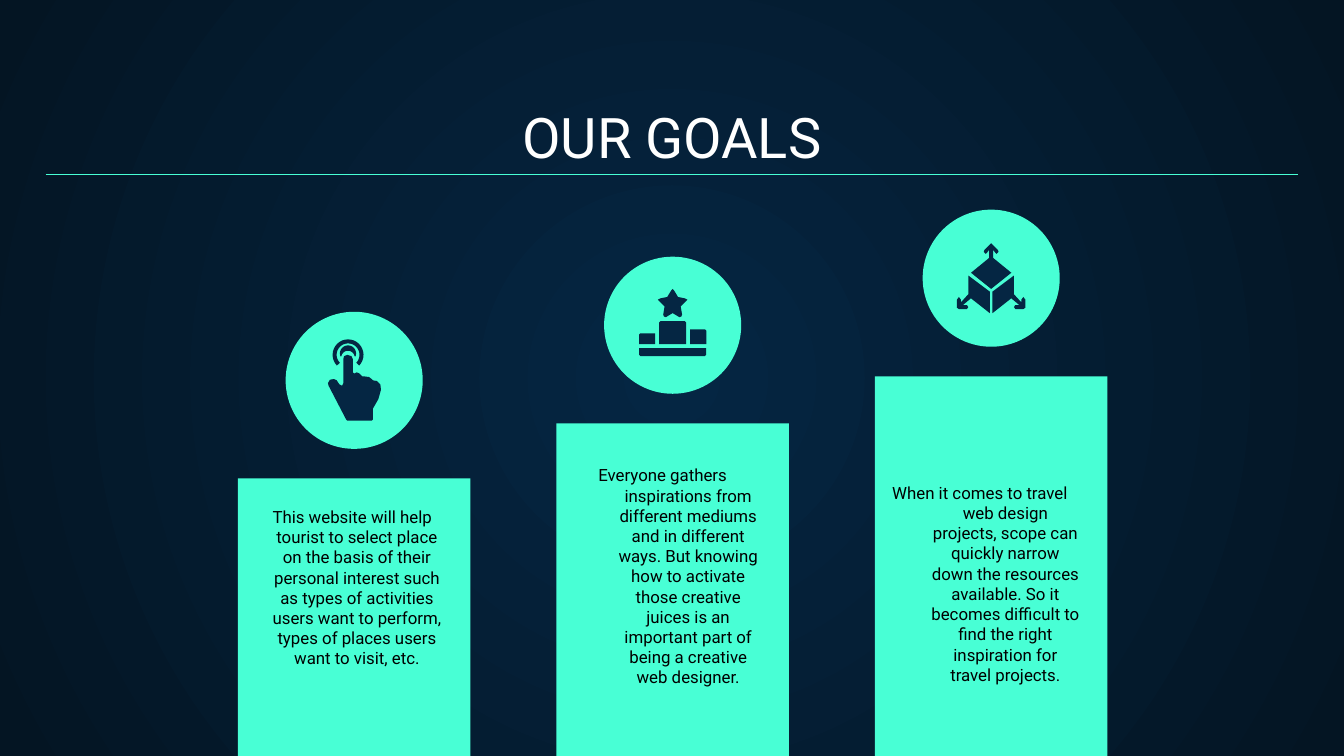
from math import cos, radians, sin

from lxml.etree import SubElement
from pptx import Presentation
from pptx.dml.color import RGBColor
from pptx.enum.shapes import MSO_CONNECTOR, MSO_SHAPE
from pptx.enum.text import MSO_ANCHOR, MSO_AUTO_SIZE, PP_ALIGN
from pptx.oxml import parse_xml
from pptx.oxml.ns import nsdecls, qn
from pptx.util import Inches, Pt

COLORS = {"mint": "48FFD5", "navy": "052643", "night": "041523",
          "white": "FFFFFF", "black": "000000"}
FONT = "Roboto"
BAR_WIDTH, BAR_BOTTOM = 1.73, 5.66
CIRCLE_SIZE, CIRCLE_RISE = 1.02, 1.24
UNITS_PER_INCH = 100


def arc(center_x, center_y, radius, start, end, steps=24):
    angles = [radians(start + (end - start) * step / steps) for step in range(steps + 1)]
    return [(center_x + radius * cos(angle), center_y + radius * sin(angle)) for angle in angles]


def mirror(points):
    return [(102 - x, y) for x, y in points]


CUBE_SIDE = [(68, 49), (52, 61), (52, 77), (66, 66), (72, 71), (69, 71), (68, 72.5),
             (69, 74), (75, 74), (76.5, 73), (76.5, 67), (75, 65), (73.5, 67),
             (73.5, 69), (68, 63)]
CUBE_TOP_HALF = [(51, 25), (52, 26), (56, 30), (56.5, 31.5), (55, 33), (54, 32),
                 (52.5, 30), (52.5, 36), (66, 47), (51, 59)]
STAR_HALF = [(51, 24), (52, 25), (55, 30), (60, 31), (62, 32), (61, 33), (57, 37),
             (58, 43), (57.5, 44.5), (56, 45), (51, 42)]

ICONS = {
    "touch": [
        arc(46.5, 32, 11.5, 136, 404) + arc(46.5, 32, 8.5, 404, 136),
        arc(46.5, 31, 6, 158, 382) + arc(46.5, 34, 5, 350, 190),
        [(46, 32), (43.5, 33), (43, 35), (43, 53), (42, 55), (40, 54), (38, 51),
         (36, 50), (33, 50.5), (31.5, 53), (32, 55), (45, 80), (46, 81), (64, 81),
         (65, 80), (65, 72), (69, 65), (71, 58), (70.5, 54), (68, 51.5), (65, 51),
         (64, 50), (62, 48.5), (58, 48), (57, 48), (55, 46), (53, 45), (51, 46),
         (50, 45), (50, 35), (49, 33)],
    ],
    "podium": [
        STAR_HALF + mirror(STAR_HALF)[::-1],
        [(64, 54), (64, 65), (76, 65), (76, 55), (75, 54)],
        [(42, 48), (41, 49), (41, 65), (61, 65), (61, 49), (60, 48)],
        [(26, 68), (26, 73), (27, 74), (75, 74), (76, 73), (76, 68)],
        [(27, 57), (26, 58), (26, 65), (38, 65), (38, 57)],
    ],
    "cube": [CUBE_SIDE, mirror(CUBE_SIDE), CUBE_TOP_HALF + mirror(CUBE_TOP_HALF)[::-1]],
}

GOALS = [
    ((1.77, 3.56), (1.41, 3.67, 1.99, 1.95), -0.07, "touch",
     "This website will help tourist to select place on the basis of their personal "
     "interest such as types of activities users want to perform, types of places "
     "users want to visit, etc."),
    ((4.14, 3.15), (3.98, 3.36, 1.78, 1.8), -0.38, "podium",
     "Everyone gathers inspirations from different mediums and in different ways. "
     "But knowing how to activate those creative juices is an important part of being "
     "a creative web designer."),
    ((6.51, 2.8), (6.33, 3.49, 1.8, 1.59), -0.38, "cube",
     "When it comes to travel web design projects, scope can quickly narrow down the "
     "resources available. So it becomes difficult to find the right inspiration for "
     "travel projects."),
]


def color(name):
    return RGBColor.from_string(COLORS[name])


def paint(shape, name):
    shape.shadow.inherit = False
    shape.fill.solid()
    shape.fill.fore_color.rgb = color(name)
    shape.line.fill.background()


def set_background(slide):
    slide.background.fill.solid()
    properties = slide.background._cSld.bg.bgPr
    gradient = parse_xml(
        f'<a:gradFill {nsdecls("a")} rotWithShape="1"><a:gsLst>'
        f'<a:gs pos="0"><a:srgbClr val="{COLORS["navy"]}"/></a:gs>'
        f'<a:gs pos="100000"><a:srgbClr val="{COLORS["night"]}"/></a:gs></a:gsLst>'
        '<a:path path="circle"><a:fillToRect l="50000" t="50000" r="50000" b="50000"/>'
        '</a:path></a:gradFill>')
    properties.replace(properties.find(qn("a:solidFill")), gradient)


def fill_placeholder(placeholder, box, text, size, color_name, anchor):
    placeholder.left, placeholder.top, placeholder.width, placeholder.height = map(Inches, box)
    frame = placeholder.text_frame
    frame.word_wrap = True
    frame.auto_size = MSO_AUTO_SIZE.NONE
    frame.vertical_anchor = anchor
    frame.margin_left = frame.margin_right = Inches(0.1)
    frame.margin_top = frame.margin_bottom = Inches(0.1)
    paragraph = frame.paragraphs[0]
    paragraph.alignment = PP_ALIGN.CENTER
    paragraph.space_before = Pt(0)
    run = paragraph.add_run()
    run.text = text
    run.font.name = FONT
    run.font.size = Pt(size)
    run.font.bold = False
    run.font.color.rgb = color(color_name)
    return paragraph


def add_header(slide, left, top, width):
    fill_placeholder(slide.shapes.title, (left, top, width, 0.66), "OUR GOALS",
                     30, "white", MSO_ANCHOR.BOTTOM)
    rule = slide.shapes.add_connector(
        MSO_CONNECTOR.STRAIGHT, Inches(left), Inches(top + 0.6),
        Inches(left + width), Inches(top + 0.6))
    rule.line.color.rgb = color("mint")
    rule.line.width = Pt(0.75)
    SubElement(rule._element.spPr, qn("a:effectLst"))


def add_icon(slide, left, top, outlines):
    group = slide.shapes.add_group_shape()
    for outline in outlines:
        points = [(Inches(x / UNITS_PER_INCH), Inches(y / UNITS_PER_INCH)) for x, y in outline]
        builder = group.shapes.build_freeform(*points[0])
        builder.add_line_segments(points[1:], close=True)
        paint(builder.convert_to_shape(Inches(left), Inches(top)), "navy")


def add_goal(slide, placeholder, position, text_box, indent, icon, text):
    left, top = position
    bar = slide.shapes.add_shape(MSO_SHAPE.RECTANGLE, Inches(left), Inches(top),
                                 Inches(BAR_WIDTH), Inches(BAR_BOTTOM - top))
    paint(bar, "mint")
    slide.shapes._spTree.append(placeholder._element)
    paragraph = fill_placeholder(placeholder, text_box, text, 9, "black", MSO_ANCHOR.TOP)
    properties = paragraph._p.get_or_add_pPr()
    properties.set("marL", str(Inches(0.5)))
    properties.set("indent", str(Inches(indent)))
    SubElement(properties, qn("a:buNone"))

    circle_left = left + (BAR_WIDTH - CIRCLE_SIZE) / 2
    circle_top = top - CIRCLE_RISE
    circle = slide.shapes.add_shape(MSO_SHAPE.OVAL, Inches(circle_left), Inches(circle_top),
                                    Inches(CIRCLE_SIZE), Inches(CIRCLE_SIZE))
    paint(circle, "mint")
    add_icon(slide, circle_left, circle_top, ICONS[icon])


def main():
    presentation = Presentation()
    presentation.slide_width = Inches(10)
    presentation.slide_height = presentation.slide_width * 9 // 16
    slide = presentation.slides.add_slide(presentation.slide_layouts.get_by_name("Comparison"))
    set_background(slide)
    add_header(slide, 0.34, 0.7, 9.32)
    title, *bodies = list(slide.placeholders)
    for body, goal in zip(bodies, GOALS):
        add_goal(slide, body, *goal)
    for unused in bodies[len(GOALS):]:
        unused._element.getparent().remove(unused._element)
    presentation.save("out.pptx")


if __name__ == "__main__":
    main()
